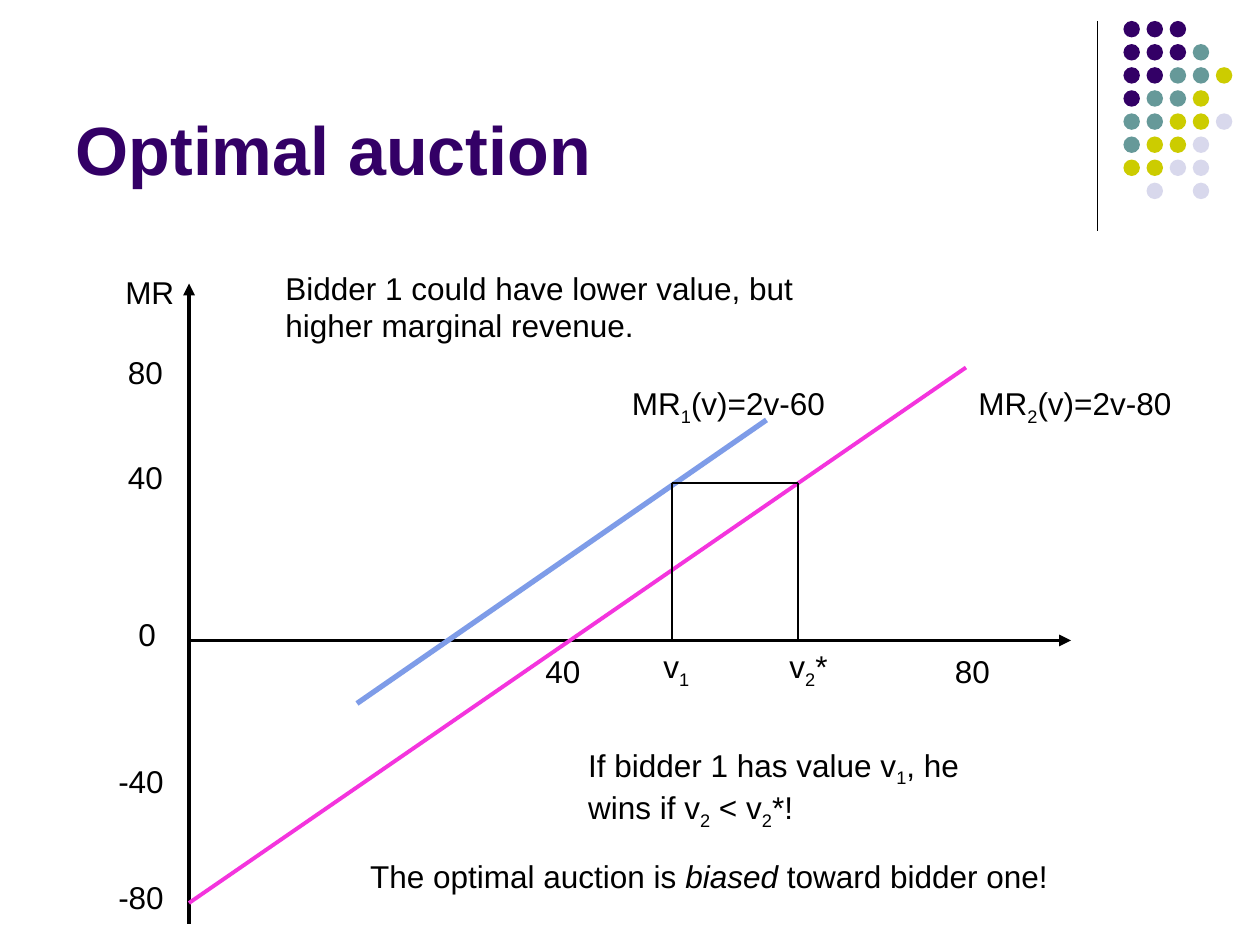
import pptx
import pptx.util
import pptx.dml.color
import pptx.enum.shapes
import pptx.enum.text
import pptx.oxml
import pptx.oxml.ns

Pt = pptx.util.Pt

THEME = {
    "font": "Arial", "title_size": 39, "body_size": 18,
    "ink": "000000", "purple": "330066", "teal": "669999", "lime": "CCCC00",
    "lavender": "D8D8EC", "pink": "F434DD", "blue": "7E9CE8",
}

# A run starting with "_" is a subscript, one starting with "/" is italic.
TITLE = [["Optimal auction"]]
LABELS = [  # left, top, width, height, paragraphs
    (156, 150, 304.5, 50.5, [["Bidder 1 could have lower value, but"],
                             ["higher marginal revenue."]]),
    (64.5, 152.5, 42.5, 29, [["MR"]]),
    (354, 216, 125, 31.5, [["MR", "_1", "(v)=2v-60"]]),
    (552, 216, 125, 31.5, [["MR", "_2", "(v)=2v-80"]]),
    (372, 366, 29, 31.5, [["v", "_1"]]),
    (444, 366, 36, 31.5, [["v", "_2", "*"]]),
    (329, 422.5, 227, 56, [["If bidder 1 has value v", "_1", ", he"],
                           ["wins if v", "_2", " < v", "_2", "*!"]]),
    (204.5, 486, 402, 29, [["The optimal auction is ", "/biased ", "toward bidder one!"]]),
]
TICKS = [  # left, top, width, value
    (66, 198, 34.5, "80"), (66, 258, 34.5, "40"), (72, 348, 24.5, "0"),
    (60.5, 432, 40.5, "-40"), (60.5, 498, 40.5, "-80"),
    (304.5, 369, 34.5, "40"), (538.5, 369, 34.5, "80"),
]
TICK_HEIGHT = 29

AXIS_X, AXIS_Y = 108, 366
V1, V2, MR_LEVEL = 384, 456, 276
LINES = [  # start, end, colour, width, arrow at end
    ((AXIS_X, 528), (AXIS_X, 162), "ink", 2.25, True),
    ((AXIS_X, AXIS_Y), (612, AXIS_Y), "ink", 2.25, True),
    ((AXIS_X, 516), (552, 210), "pink", 2.25, False),
    ((204, 402), (438, 240), "blue", 3, False),
    ((V1, AXIS_Y), (V1, MR_LEVEL), "ink", 0.75, False),
    ((V1, MR_LEVEL), (V2, MR_LEVEL), "ink", 0.75, False),
    ((V2, MR_LEVEL), (V2, AXIS_Y), "ink", 0.75, False),
]
DIVIDER = ((627, 12), (627, 132), "ink", 0.75, False)

DOT_ROWS = ["PPP", "PPPT", "PPTTL", "PTTL", "TTLLV", "TLLV", "LLVV", " V V"]
DOT_COLORS = {"P": "purple", "T": "teal", "L": "lime", "V": "lavender"}
DOT_LEFT, DOT_TOP, DOT_PITCH, DOT_SIZE = 642, 12, 13.2, 9.4


def color(name):
    return pptx.dml.color.RGBColor.from_string(THEME[name])


def write(tf, paragraphs, size="body_size", ink="ink", bold=False):
    for i, runs in enumerate(paragraphs):
        p = tf.paragraphs[0] if i == 0 else tf.add_paragraph()
        p.alignment = pptx.enum.text.PP_ALIGN.LEFT
        for text in runs:
            r = p.add_run()
            r.text = text.lstrip("_/")
            r.font.name = THEME["font"]
            r.font.size = Pt(THEME[size])
            r.font.bold = bold
            r.font.italic = text.startswith("/")
            r.font.color.rgb = color(ink)
            if text.startswith("_"):
                r.font._element.set("baseline", "-25000")


def add_label(s, left, top, width, height, paragraphs):
    box = s.shapes.add_textbox(Pt(left), Pt(top), Pt(width), Pt(height))
    box.text_frame.word_wrap = False
    box.text_frame.auto_size = pptx.enum.text.MSO_AUTO_SIZE.SHAPE_TO_FIT_TEXT
    write(box.text_frame, paragraphs)


def add_line(s, start, end, ink, width, arrow):
    line = s.shapes.add_connector(
        pptx.enum.shapes.MSO_CONNECTOR.STRAIGHT, *map(Pt, start + end))
    line.line.color.rgb = color(ink)
    line.line.width = Pt(width)
    if arrow:
        tail = pptx.oxml.parse_xml(
            f'<a:tailEnd {pptx.oxml.ns.nsdecls("a")} type="triangle"/>')
        line.line._get_or_add_ln().append(tail)
    line._element.spPr.append(
        pptx.oxml.parse_xml(f'<a:effectLst {pptx.oxml.ns.nsdecls("a")}/>'))


def add_dots(s):
    for row, codes in enumerate(DOT_ROWS):
        for col, code in enumerate(codes):
            if code == " ":
                continue
            dot = s.shapes.add_shape(
                pptx.enum.shapes.MSO_SHAPE.OVAL,
                Pt(DOT_LEFT + col * DOT_PITCH), Pt(DOT_TOP + row * DOT_PITCH),
                Pt(DOT_SIZE), Pt(DOT_SIZE))
            dot.shadow.inherit = False
            dot.fill.solid()
            dot.fill.fore_color.rgb = color(DOT_COLORS[code])
            dot.line.fill.background()


def main():
    prs = pptx.Presentation()
    prs.slide_width, prs.slide_height = Pt(720), Pt(540)
    s = prs.slides.add_slide(prs.slide_layouts[5])

    title = s.shapes.title
    title.left, title.top, title.width, title.height = map(Pt, (36, 9.5, 594, 102))
    title.text_frame.vertical_anchor = pptx.enum.text.MSO_ANCHOR.BOTTOM
    write(title.text_frame, TITLE, size="title_size", ink="purple", bold=True)

    add_line(s, *DIVIDER)
    add_dots(s)
    for line in LINES:
        add_line(s, *line)
    for label in LABELS:
        add_label(s, *label)
    for left, top, width, value in TICKS:
        add_label(s, left, top, width, TICK_HEIGHT, [[value]])

    prs.save("out.pptx")


if __name__ == "__main__":
    main()
